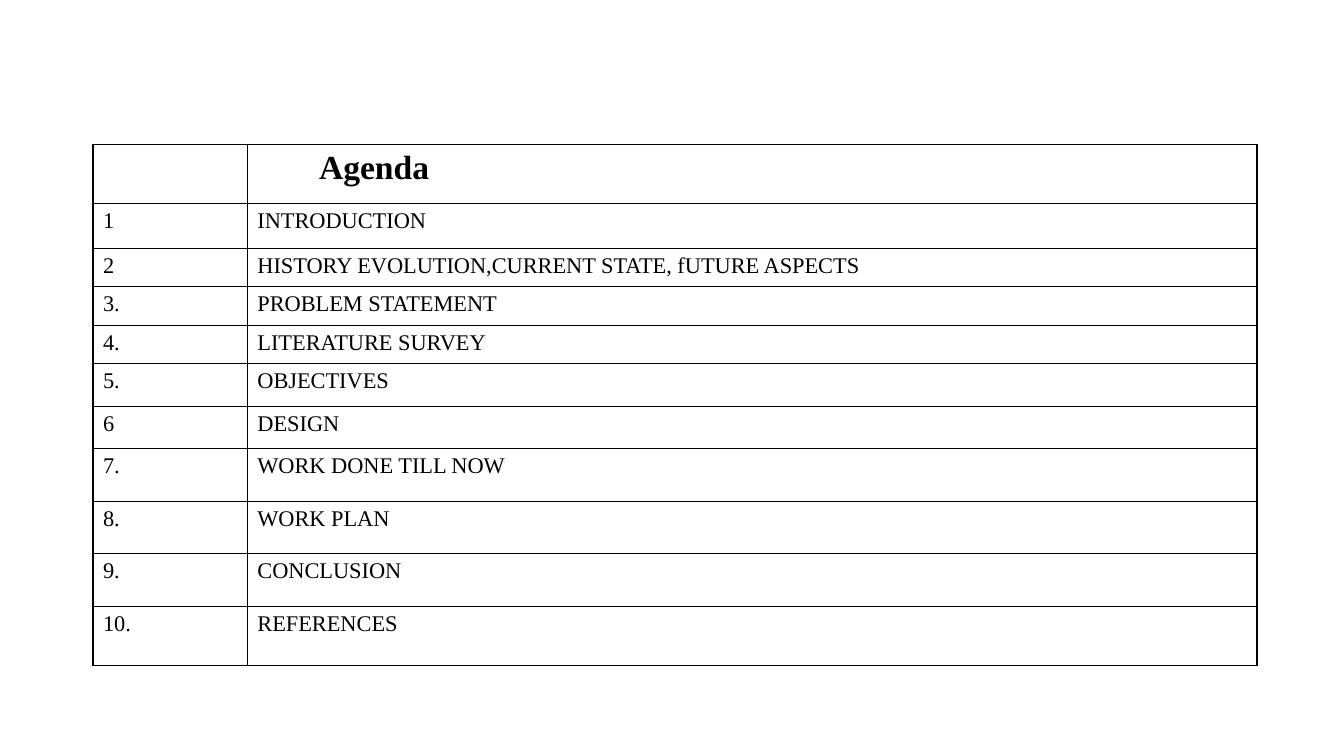
"""Build the agenda slide: one numbered table of topics."""
from dataclasses import dataclass

from lxml.etree import SubElement
from pptx import Presentation
from pptx.dml.color import RGBColor
from pptx.oxml.ns import qn
from pptx.util import Pt


@dataclass(frozen=True)
class Theme:
    font: str = "Times New Roman"
    ink: str = "000000"
    paper: str = "FFFFFF"
    heading_size: int = 24
    topic_size: int = 16
    rule: float = 1
    side_rule: float = 1.5


theme = Theme()


def write(cell, text, size, bold=False):
    run = cell.text_frame.paragraphs[0].add_run()
    run.text = text
    run.font.name = theme.font
    run.font.size = Pt(size)
    run.font.bold = bold
    run.font.color.rgb = RGBColor.from_string(theme.ink)


def add_border(cell, edge, width):
    line = SubElement(cell._tc.get_or_add_tcPr(), qn(f"a:{edge}"), w=str(Pt(width)))
    SubElement(SubElement(line, qn("a:solidFill")), qn("a:srgbClr"), val=theme.ink)


topics = [
    ("1", "INTRODUCTION", 32.2),
    ("2", "HISTORY EVOLUTION,CURRENT STATE, fUTURE ASPECTS", 27.3),
    ("3.", "PROBLEM STATEMENT", 27.6),
    ("4.", "LITERATURE SURVEY", 27.3),
    ("5.", "OBJECTIVES", 30.4),
    ("6", "DESIGN", 30.4),
    ("7.", "WORK DONE TILL NOW", 37.5),
    ("8.", "WORK PLAN", 37.5),
    ("9.", "CONCLUSION", 37.5),
    ("10.", "REFERENCES", 42.3),
]
column_widths = [110.3, 721]
row_heights = [42.2] + [height for _, _, height in topics]

presentation = Presentation()
presentation.slide_width = Pt(960)
presentation.slide_height = Pt(540)
slide = presentation.slides.add_slide(presentation.slide_layouts[6])

agenda = slide.shapes.add_table(
    len(row_heights), len(column_widths),
    Pt(66.4), Pt(103.2), Pt(sum(column_widths)), Pt(sum(row_heights)),
).table
agenda.first_row = False
agenda.horz_banding = False

for column, width in zip(agenda.columns, column_widths):
    column.width = Pt(width)
for row, height in zip(agenda.rows, row_heights):
    row.height = Pt(height)
    number_cell, topic_cell = row.cells
    for cell in (number_cell, topic_cell):
        add_border(cell, "lnL", theme.side_rule if cell is number_cell else theme.rule)
        add_border(cell, "lnR", theme.side_rule if cell is topic_cell else theme.rule)
        add_border(cell, "lnT", theme.rule)
        add_border(cell, "lnB", theme.rule)
        cell.fill.solid()
        cell.fill.fore_color.rgb = RGBColor.from_string(theme.paper)

heading = agenda.cell(0, 1)
heading.text_frame.paragraphs[0]._p.get_or_add_pPr().set("marL", str(Pt(44)))
write(heading, "Agenda", theme.heading_size, bold=True)

for position, (number, topic, _) in enumerate(topics, start=1):
    write(agenda.cell(position, 0), number, theme.topic_size)
    write(agenda.cell(position, 1), topic, theme.topic_size)

presentation.save("out.pptx")
